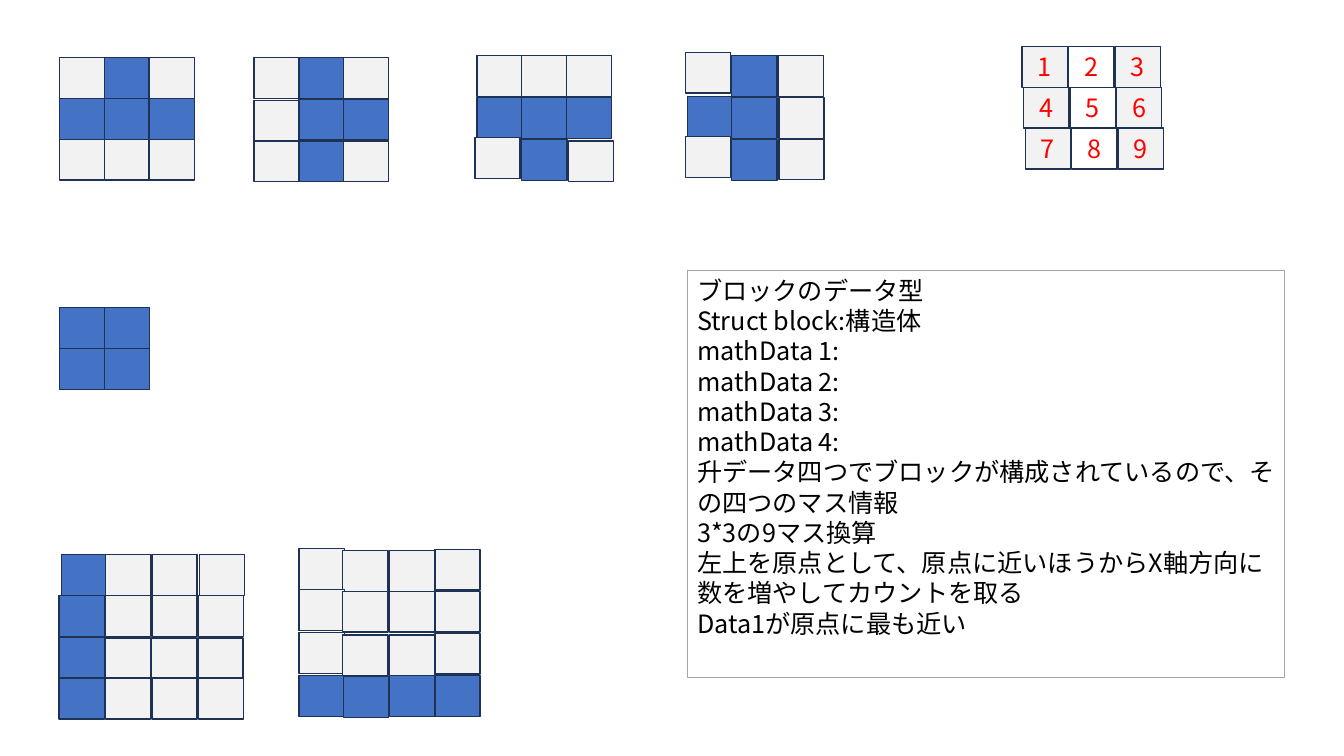
from pptx import Presentation
from pptx.dml.color import RGBColor
from pptx.enum.shapes import MSO_SHAPE as Preset
from pptx.enum.text import MSO_ANCHOR as Anchor, PP_ALIGN as Align
from pptx.oxml.ns import qn
from pptx.util import Cm, Pt
from lxml.etree import SubElement

BLUE = RGBColor(0x44, 0x72, 0xC4)
PALE = RGBColor(0xF2, 0xF2, 0xF2)
WHITE = RGBColor(0xFF, 0xFF, 0xFF)
NAVY = RGBColor(0x1E, 0x32, 0x56)
GRAY = RGBColor(0xA5, 0xA5, 0xA5)
RED = RGBColor(0xFF, 0x00, 0x00)
BLACK = RGBColor(0x00, 0x00, 0x00)

CELL_FILLS = {"#": BLUE, ".": PALE, "o": WHITE}

BLOCKS = [
    dict(pattern=[".#.", "###", "..."], origin=(1.5, 1.45), pitch=(1.13, 1.03)),
    dict(pattern=[".#.", ".##", ".#."], origin=(6.4, 1.45), pitch=(1.13, 1.05),
         nudges={(1, 0): (0, 0.04)}),
    dict(pattern=["...", "###", ".#."], origin=(12.02, 1.4), pitch=(1.13, 1.06),
         nudges={(2, 0): (-0.05, -0.05), (2, 2): (0.05, 0.03)}),
    dict(pattern=[".#.", "##.", ".#."], origin=(17.27, 1.4), pitch=(1.17, 1.06),
         nudges={(0, 0): (0, -0.08), (1, 0): (0.05, -0.03), (2, 0): (0, -0.08),
                 (1, 2): (0.02, 0), (2, 2): (0.02, -0.02)}),
    dict(pattern=["##", "##"], origin=(1.5, 7.75), pitch=(1.13, 1.04)),
    dict(pattern=["#..."] * 4, origin=(1.49, 13.97), pitch=(1.17, 1.04),
         nudges={(0, 0): (0.06, 0), (0, 3): (0.03, 0),
                 **{(2, column): (-0.01, 0.03) for column in (1, 2, 3)}}),
    dict(pattern=["....", "....", "....", "####"], origin=(7.54, 13.84), pitch=(1.14, 1.06),
         nudges={(0, 0): (0, -0.02), (1, 0): (0, -0.04), (2, 0): (0, -0.02),
                 (0, 1): (-0.04, 0.03), (1, 1): (-0.04, 0), (2, 1): (-0.04, 0.04),
                 (0, 2): (0, 0.03), (2, 2): (0, 0.04), (3, 1): (-0.02, 0.03)}),
    dict(pattern=[".o."] * 3, origin=(25.76, 1.17), pitch=(1.17, 1.03),
         slant=0.04, numbered=True),
]

DATA_TYPE_LINES = [
    "ブロックのデータ型",
    "Struct block:構造体",
    *[f"mathData {number}:" for number in range(1, 5)],
    "升データ四つでブロックが構成されているので、その四つのマス情報",
    "3*3の9マス換算",
    "左上を原点として、原点に近いほうからX軸方向に数を増やしてカウントを取る",
    "Data1が原点に最も近い",
]


class BlockSlide:
    font_name = "Noto Sans CJK JP"
    font_size = Pt(18)
    cell_size = (1.14, 1.03)

    def __init__(self, presentation):
        self.slide = presentation.slides.add_slide(presentation.slide_layouts[6])

    def rectangle(self, left, top, width, height, fill, line):
        shape = self.slide.shapes.add_shape(
            Preset.RECTANGLE, Cm(left), Cm(top), Cm(width), Cm(height))
        shape.shadow.inherit = False
        shape.fill.solid()
        shape.fill.fore_color.rgb = fill
        shape.line.color.rgb = line
        shape.line.width = Pt(1)
        return shape

    def label(self, shape, lines, color, align, anchor):
        frame = shape.text_frame
        frame.word_wrap = True
        frame.vertical_anchor = anchor
        frame.text = "\n".join(lines)
        font_format = {"name": self.font_name, "size": self.font_size}
        for paragraph in frame.paragraphs:
            paragraph.alignment = align
            for run in paragraph.runs:
                for attribute, value in font_format.items():
                    setattr(run.font, attribute, value)
                run.font.color.rgb = color
                east_asian = SubElement(run._r.get_or_add_rPr(), qn("a:ea"))
                east_asian.set("typeface", self.font_name)

    def block(self, pattern, origin, pitch, nudges=None, slant=0, numbered=False):
        cells = [(row, column, mark)
                 for row, marks in enumerate(pattern)
                 for column, mark in enumerate(marks)]
        for row, column, mark in sorted(cells, key=lambda cell: cell[2] == "."):
            shift_x, shift_y = (nudges or {}).get((row, column), (0, 0))
            left = origin[0] + column * pitch[0] + row * slant + shift_x
            top = origin[1] + row * pitch[1] + shift_y
            shape = self.rectangle(left, top, *self.cell_size, CELL_FILLS[mark], NAVY)
            if numbered:
                number = row * len(pattern[0]) + column + 1
                self.label(shape, [str(number)], RED, Align.CENTER, Anchor.MIDDLE)

    def note(self, left, top, width, height, lines):
        shape = self.rectangle(left, top, width, height, WHITE, GRAY)
        self.label(shape, lines, BLACK, Align.LEFT, Anchor.TOP)


def main():
    presentation = Presentation()
    presentation.slide_width = Cm(33.87)
    presentation.slide_height = Cm(19.05)
    block_slide = BlockSlide(presentation)
    for block in BLOCKS:
        block_slide.block(**block)
    block_slide.note(17.32, 6.81, 15.06, 10.26, DATA_TYPE_LINES)
    presentation.save("out.pptx")


if __name__ == "__main__":
    main()
